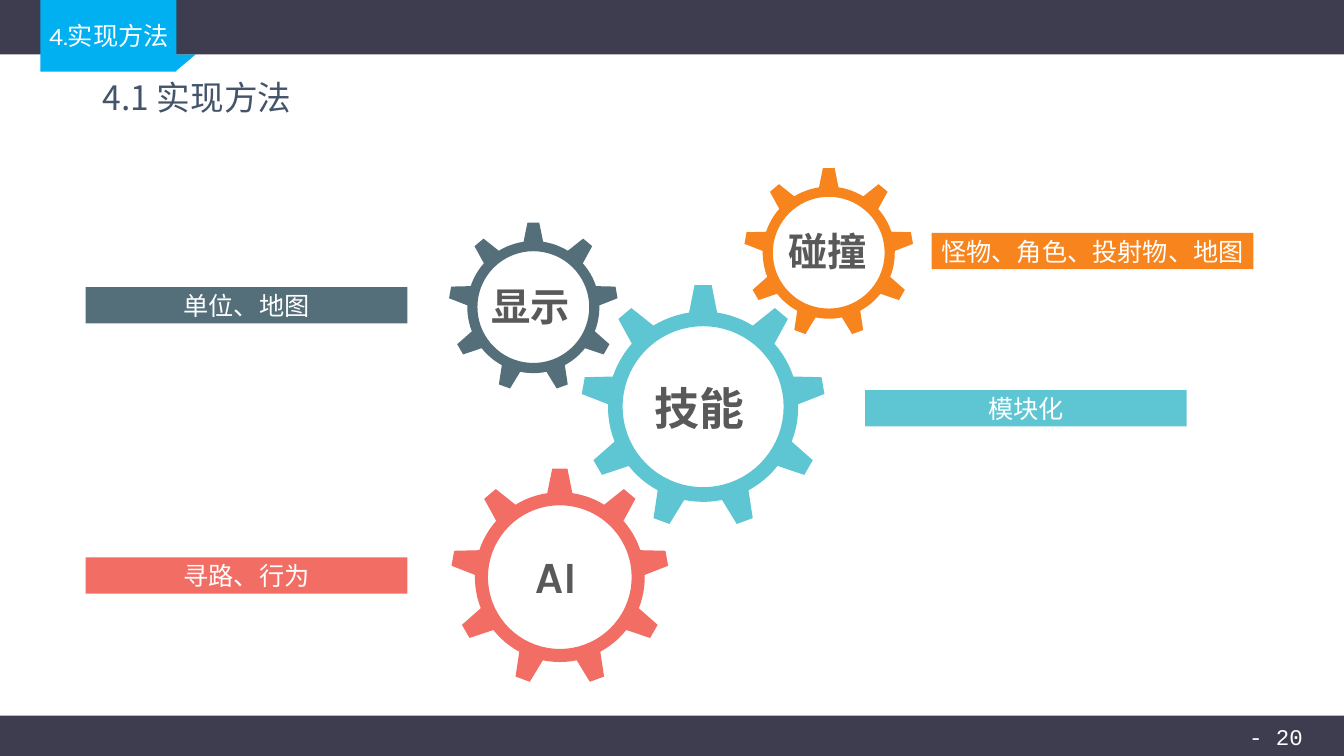
from math import cos, pi, radians, sin

from pptx import Presentation
from pptx.dml.color import RGBColor
from pptx.enum.shapes import MSO_SHAPE
from pptx.enum.text import MSO_ANCHOR, MSO_AUTO_SIZE, PP_ALIGN
from pptx.util import Inches, Pt

COLORS = {
    "band": "3E3D4F",
    "tab": "00B0F0",
    "white": "FFFFFF",
    "title": "44546A",
    "label": "595959",
    "teal": "5EC6D3",
    "orange": "F8841D",
    "red": "F26D64",
    "slate": "546E7A",
}
TOOTH_COUNT = 9
TOOTH_STEP = 360 / TOOTH_COUNT
BODY_RATIO = 0.78
HOLE_RATIO = 0.66
TIP_HALF_ANGLE = 4
BASE_HALF_ANGLE = 8.5

GEARS = [
    (6.96, 4.04, 1.21, "teal"),
    (8.21, 2.51, 0.84, "orange"),
    (5.54, 5.73, 1.08, "red"),
    (5.28, 3.05, 0.84, "slate"),
]
GEAR_LABELS = [
    ("碰撞", 7.58, 2.21, 0.57, 28),
    ("技能", 6.31, 3.73, 0.64, 32),
    ("显示", 4.64, 2.75, 0.57, 28),
    ("AI", 4.89, 5.39, 0.64, 32),
]
BARS = [
    ("单位、地图", 0.85, 2.85, "slate"),
    ("寻路、行为", 0.85, 5.53, "red"),
    ("模块化", 8.58, 3.87, "teal"),
    ("怪物、角色、投射物、地图", 9.24, 2.31, "orange"),
]


def paint(shape, color):
    """Give a shape a flat fill with no outline or shadow."""
    shape.shadow.inherit = False
    shape.fill.solid()
    shape.fill.fore_color.rgb = RGBColor.from_string(COLORS[color])
    shape.line.fill.background()


def add_block(slide, left, top, width, height, color, kind=MSO_SHAPE.RECTANGLE):
    """Add a filled preset shape."""
    shape = slide.shapes.add_shape(
        kind, Inches(left), Inches(top), Inches(width), Inches(height))
    paint(shape, color)
    return shape


def write(shape, text, font, size, color, bold=False, align=PP_ALIGN.CENTER):
    """Write one styled paragraph into a shape and return it."""
    shape.text_frame.word_wrap = True
    paragraph = shape.text_frame.paragraphs[0]
    paragraph.text = text
    paragraph.alignment = align
    paragraph.font.name = font
    paragraph.font.size = Pt(size)
    paragraph.font.bold = bold
    paragraph.font.color.rgb = RGBColor.from_string(COLORS[color])
    return paragraph


def add_text_box(slide, left, top, width, height):
    """Add an empty text box that grows with its text."""
    box = slide.shapes.add_textbox(
        Inches(left), Inches(top), Inches(width), Inches(height))
    box.text_frame.auto_size = MSO_AUTO_SIZE.SHAPE_TO_FIT_TEXT
    return box


def polar_point(center_x, center_y, radius, angle):
    """Return the point at an angle in degrees, clockwise from the top."""
    turn = radians(angle) - pi / 2
    return (Inches(center_x + radius * cos(turn)),
            Inches(center_y + radius * sin(turn)))


def add_gear(slide, center_x, center_y, radius, color):
    """Add a toothed ring with a round hole."""
    body = radius * BODY_RATIO
    gap = TOOTH_STEP - 2 * BASE_HALF_ANGLE
    outline = []
    for tooth in range(TOOTH_COUNT):
        middle = tooth * TOOTH_STEP
        corners = [(radius, -TIP_HALF_ANGLE), (radius, TIP_HALF_ANGLE)]
        corners += [(body, BASE_HALF_ANGLE + gap * step / 6) for step in range(7)]
        outline += [polar_point(center_x, center_y, distance, middle + angle)
                    for distance, angle in corners]
    hole = [polar_point(center_x, center_y, radius * HOLE_RATIO, angle)
            for angle in range(0, 360, 5)]
    builder = slide.shapes.build_freeform(*outline[0])
    builder.add_line_segments(outline[1:], close=True)
    builder.move_to(*hole[0])
    builder.add_line_segments(hole[1:], close=True)
    gear = builder.convert_to_shape()
    gear.rotation = 320
    paint(gear, color)


def add_bar(slide, text, left, top, color):
    """Add a coloured caption bar."""
    bar = add_block(slide, left, top, 3.19, 0.36, color)
    frame = bar.text_frame
    frame.margin_left = frame.margin_right = 0
    frame.margin_top = frame.margin_bottom = 0
    frame.vertical_anchor = MSO_ANCHOR.MIDDLE
    write(bar, text, "Roboto Condensed", 18, "white")


def add_frame(slide):
    """Add the footer with page number and the header with section tab."""
    add_block(slide, 0, 7.1, 13.33, 0.42, "band")
    page_number = add_text_box(slide, 12.18, 7.12, 0.95, 0.37)
    write(page_number, "- 20 -", "Courier New", 16, "white")
    fold = add_block(slide, 1.56, 0.54, 0.38, 0.16, "tab",
                     MSO_SHAPE.ISOSCELES_TRIANGLE)
    fold.rotation = 180
    add_block(slide, 0, 0, 13.33, 0.54, "band")
    add_block(slide, 0.4, 0, 1.35, 0.71, "tab")
    section = add_text_box(slide, 0.29, 0.06, 1.58, 0.45)
    write(section, "4.实现方法", "Karla", 18, "white").line_spacing = 1.3


def add_title(slide):
    """Add the slide title."""
    title = add_text_box(slide, 0.92, 0.75, 11.5, 0.47)
    title.text_frame.auto_size = MSO_AUTO_SIZE.NONE
    title.text_frame.vertical_anchor = MSO_ANCHOR.MIDDLE
    paragraph = write(title, "4.1 实现方法", "Noto Sans CJK SC", 24, "title",
                      align=PP_ALIGN.LEFT)
    paragraph.line_spacing = 0.9


def main():
    """Build the slide and save it."""
    presentation = Presentation()
    presentation.slide_width = Inches(13.33)
    presentation.slide_height = Inches(7.5)
    slide = presentation.slides.add_slide(presentation.slide_layouts[6])
    add_frame(slide)
    for gear in GEARS:
        add_gear(slide, *gear)
    for text, left, top, height, size in GEAR_LABELS:
        label = add_text_box(slide, left, top, 1.25, height)
        write(label, text, "Karla", size, "label", bold=True)
    for bar in BARS:
        add_bar(slide, *bar)
    add_title(slide)
    presentation.save("out.pptx")


if __name__ == "__main__":
    main()
